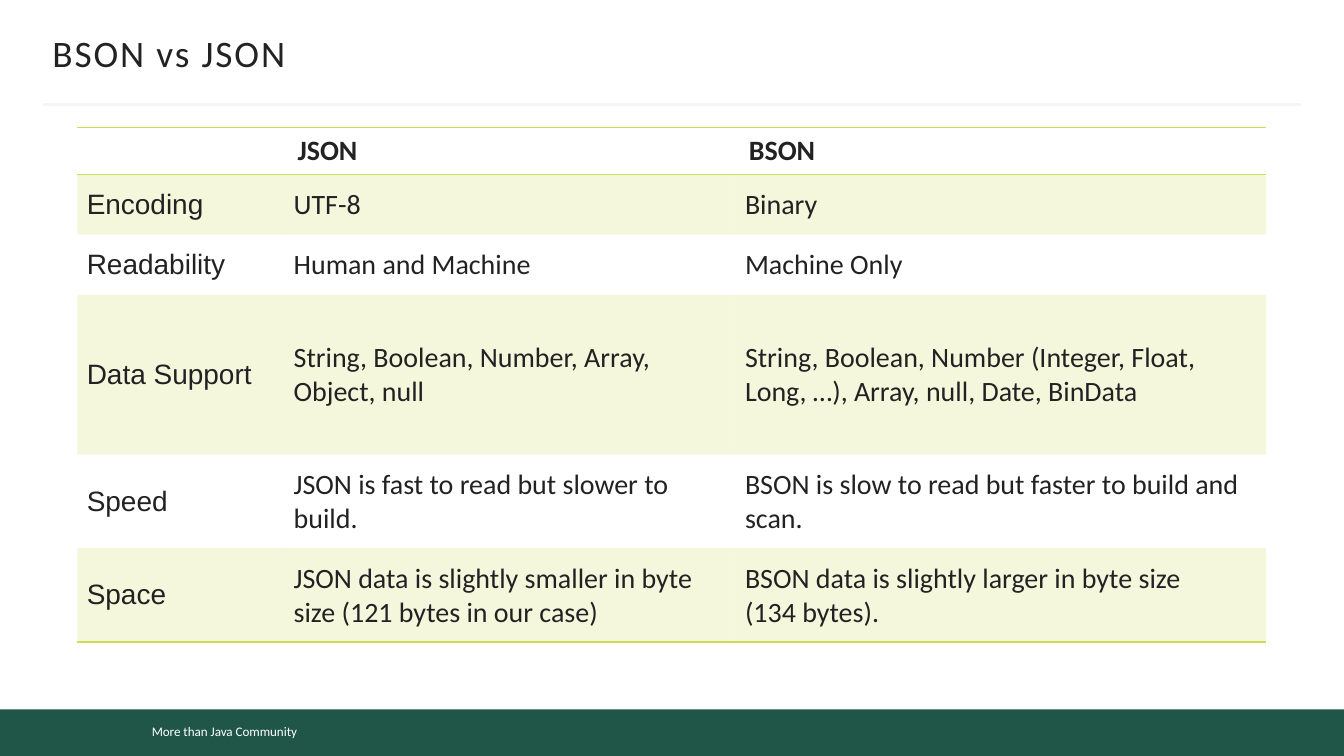
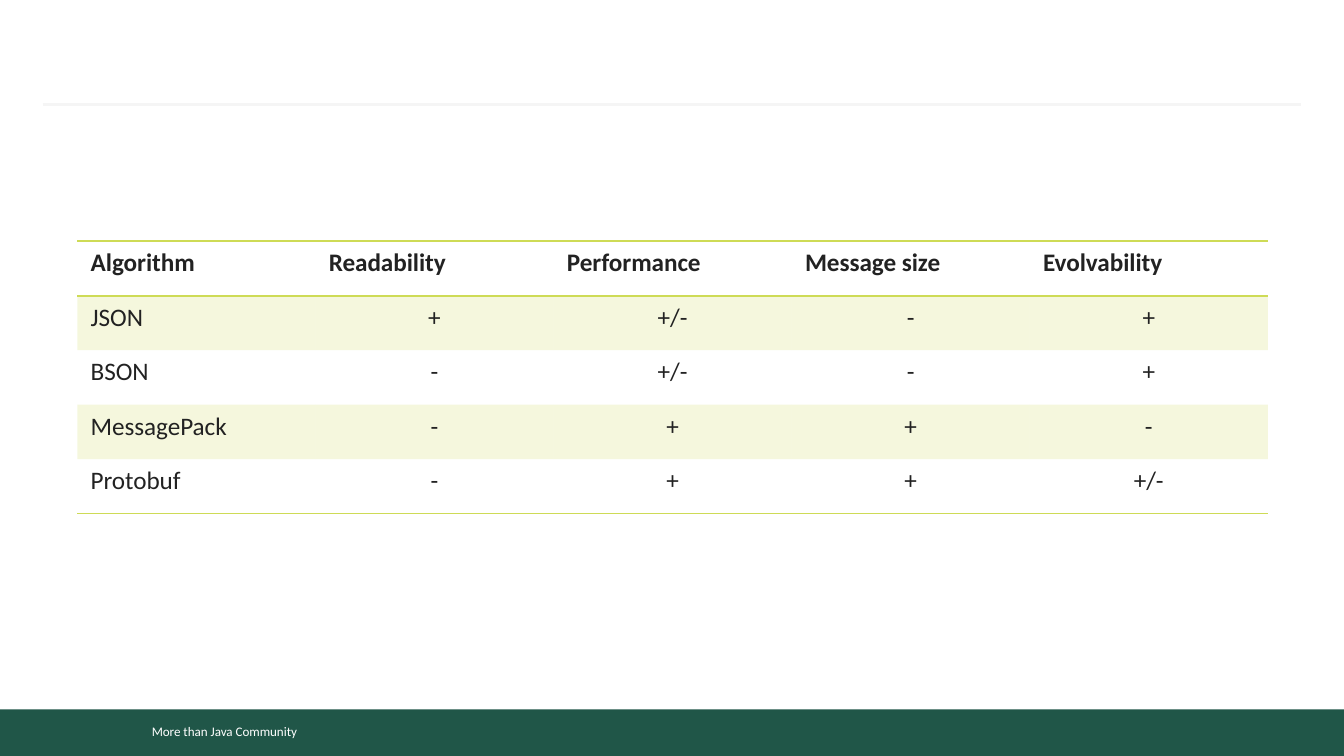
from lxml import etree
from pptx import Presentation
from pptx.dml.color import RGBColor
from pptx.enum import shapes, text
from pptx.oxml.ns import qn
from pptx.util import Cm, Pt

GREEN, LIME, RULE, INK, WHITE = "205648", "CEDB56", "F5F5F5", "222222", "FFFFFF"
FONT, LABEL_FONT = "Calibri", "Arial"
NO_GRID_STYLE = "{2D5ABB26-0587-4C30-8999-92F81FD0307C}"


def rgb(value):
    return RGBColor.from_string(value)


def add_run(paragraph, words, size, font=FONT, color=INK, bold=False):
    run = paragraph.add_run()
    run.text = words
    run.font.name = font
    run.font.size = Pt(size)
    run.font.bold = bold
    run.font.color.rgb = rgb(color)
    return run


format_comparison = {
    "title": "BSON vs JSON",
    "corner": (1.46, 2.41),
    "columns": [3.91, 8.53, 10.03],
    "heights": [0.86, 1.09, 1.09, 3.02, 1.73, 1.73],
    "size": 15,
    "label_font": LABEL_FONT,
    "padded": True,
    "centred": False,
    "rows": [
        ["", "JSON", "BSON"],
        ["Encoding", "UTF-8", "Binary"],
        ["Readability", "Human and Machine", "Machine Only"],
        ["Data Support", "String, Boolean, Number, Array, Object, null",
         "String, Boolean, Number (Integer, Float, Long, …), Array, null, Date, BinData"],
        ["Speed", "JSON is fast to read but slower to build.",
         "BSON is slow to read but faster to build and scan."],
        ["Space", "JSON data is slightly smaller in byte size (121 bytes in our case)",
         "BSON data is slightly larger in byte size\n(134 bytes)."],
    ],
}
algorithm_scores = {
    "title": None,
    "corner": (1.46, 4.56),
    "columns": [4.5] * 5,
    "heights": [1.03] * 5,
    "size": 13.5,
    "label_font": FONT,
    "padded": False,
    "centred": True,
    "rows": [
        ["Algorithm", "Readability", "Performance", "Message size", "Evolvability"],
        ["JSON", "+", "+/-", "-", "+"],
        ["BSON", "-", "+/-", "-", "+"],
        ["MessagePack", "-", "+", "+", "-"],
        ["Protobuf", "-", "+", "+", "+/-"],
    ],
}

prs = Presentation()
prs.slide_width, prs.slide_height = Cm(25.4), Cm(14.29)
title_only, blank = prs.slide_layouts[5], prs.slide_layouts[6]

for content in (format_comparison, algorithm_scores):
    slide = prs.slides.add_slide(title_only if content["title"] else blank)

    # Footer band, community name and rule under the title
    for left, top, width, height, words in (
        (0, 13.41, 25.4, 0.88, ""),
        (2.62, 13.54, 6.73, 0.56, "More than Java Community"),
    ):
        footer = slide.shapes.add_shape(
            shapes.MSO_SHAPE.RECTANGLE, Cm(left), Cm(top), Cm(width), Cm(height))
        footer.shadow.inherit = False
        footer.fill.solid()
        footer.fill.fore_color.rgb = rgb(GREEN)
        footer.line.fill.background()
        if words:
            footer.text_frame.vertical_anchor = text.MSO_ANCHOR.MIDDLE
            footer.text_frame.auto_size = text.MSO_AUTO_SIZE.SHAPE_TO_FIT_TEXT
            credit = footer.text_frame.paragraphs[0]
            credit.alignment = text.PP_ALIGN.LEFT
            add_run(credit, words, 7, color=WHITE)
    rule = slide.shapes.add_connector(
        shapes.MSO_CONNECTOR.STRAIGHT, Cm(0.81), Cm(1.98), Cm(24.59), Cm(1.98))
    rule.line.color.rgb = rgb(RULE)
    rule.line.width = Pt(1.5)
    etree.SubElement(rule._element.spPr, qn("a:effectLst"))

    if content["title"]:
        title = slide.shapes.title
        title.left, title.top, title.width, title.height = Cm(0.99), Cm(0.58), Cm(23.42), Cm(0.84)
        frame = title.text_frame
        frame.margin_left = frame.margin_right = 0
        frame.margin_top = frame.margin_bottom = Cm(0.13)
        frame.vertical_anchor = text.MSO_ANCHOR.MIDDLE
        frame.auto_size = text.MSO_AUTO_SIZE.NONE
        frame.word_wrap = False
        frame.paragraphs[0].alignment = text.PP_ALIGN.LEFT
        heading = add_run(frame.paragraphs[0], content["title"], 20)
        heading.font._element.set("spc", "100")

    rows, columns, heights = content["rows"], content["columns"], content["heights"]
    left, top = content["corner"]
    table = slide.shapes.add_table(
        len(rows), len(columns), Cm(left), Cm(top), Cm(sum(columns)), Cm(sum(heights))).table
    table.first_row = table.horz_banding = False
    table._tbl.tblPr.find(qn("a:tableStyleId")).text = NO_GRID_STYLE
    for column, width in zip(table.columns, columns):
        column.width = Cm(width)
    for row, height in zip(table.rows, heights):
        row.height = Cm(height)

    for r, values in enumerate(rows):
        header = r == 0
        for c, value in enumerate(values):
            cell = table.cell(r, c)
            if content["padded"] and not header:
                cell.vertical_anchor = text.MSO_ANCHOR.MIDDLE
                cell.margin_left = cell.margin_right = Cm(0.18)
                cell.margin_top = cell.margin_bottom = Cm(0.25)

            # Every second row is tinted
            if r % 2:
                cell.fill.solid()
                cell.fill.fore_color.rgb = rgb(LIME)
                tint = cell._tc.tcPr.find(".//" + qn("a:srgbClr"))
                etree.SubElement(tint, qn("a:alpha"), val="20000")
            else:
                cell.fill.background()

            edges = ["a:lnT", "a:lnB"] if header else ["a:lnB"] if r == len(rows) - 1 else []
            for position, edge in enumerate(edges):
                border = etree.Element(qn(edge), w=str(Pt(1)))
                paint = etree.SubElement(border, qn("a:solidFill"))
                etree.SubElement(paint, qn("a:srgbClr"), val=LIME)
                cell._tc.tcPr.insert(position, border)

            font = content["label_font"] if c == 0 and not header else FONT
            for n, words in enumerate(value.split("\n")):
                paragraph = cell.text_frame.add_paragraph() if n else cell.text_frame.paragraphs[0]
                if content["centred"] and c and not header:
                    paragraph.alignment = text.PP_ALIGN.CENTER
                if words:
                    add_run(paragraph, words, content["size"], font, bold=header)
                else:
                    etree.SubElement(paragraph._p, qn("a:endParaRPr"), sz=str(content["size"] * 100))

prs.save("out.pptx")
